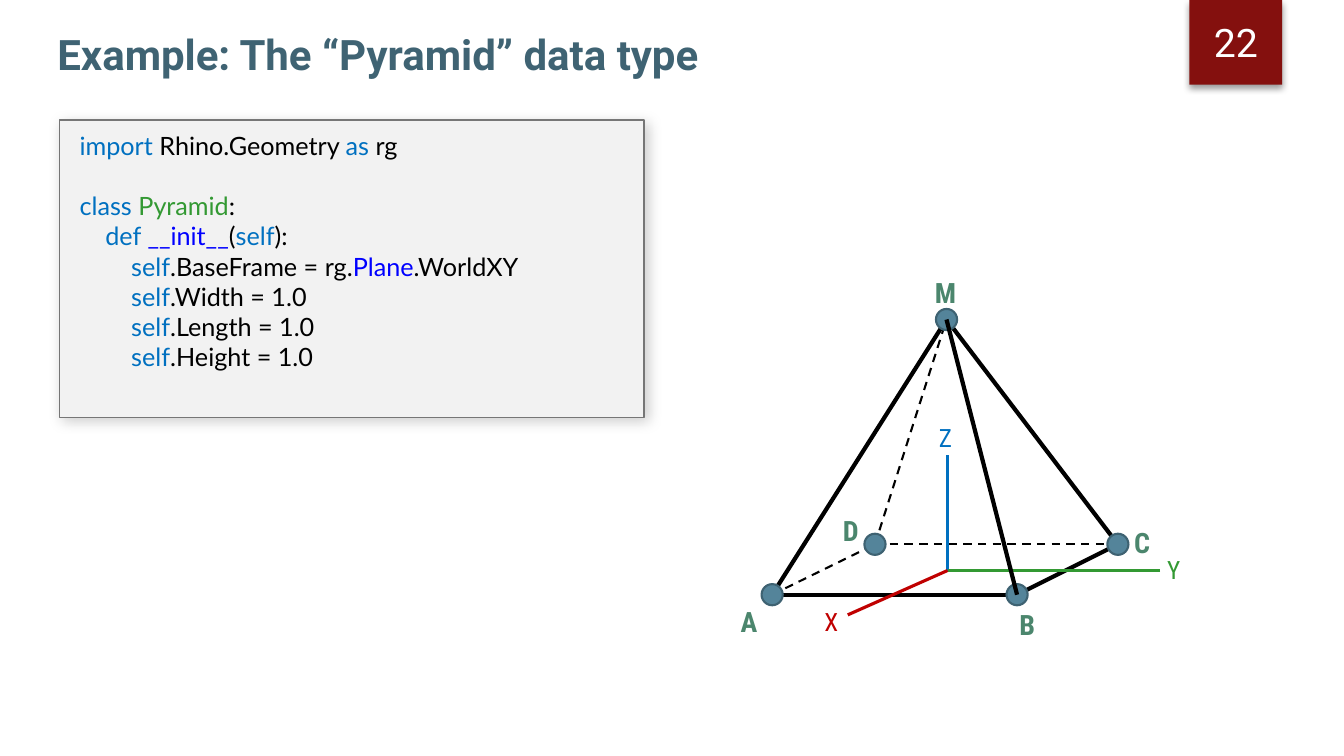
from dataclasses import dataclass, field

from lxml import etree
from pptx import Presentation, util as u
from pptx.dml.color import RGBColor
from pptx.enum import dml, shapes, text
from pptx.oxml.ns import qn

CELL = 0.1
COLS, ROWS = 133.33, 75
DOT = 2.1

COLORS = {
    "black": "000000", "white": "FFFFFF", "panel": "F2F2F2", "border": "767676",
    "title": "3F6373", "badge": "84100E", "vertex": "4B866D",
    "dot": "54849A", "dot_line": "3E6272",
    "blue": "0070C0", "green": "339933", "red": "C00000", "name": "0000FF",
}

FONTS = {
    "title": {"name": "Roboto", "size": u.Pt(30), "bold": True},
    "badge": {"name": "Roboto", "size": u.Pt(28), "bold": False},
    "code": {"name": "Lato", "size": u.Pt(18), "bold": False},
    "vertex": {"name": "Roboto Condensed", "size": u.Pt(20), "bold": True},
    "axis": {"name": "Roboto Condensed", "size": u.Pt(18), "bold": False},
}

POINTS = {
    "A": (76.6, 59), "B": (100.9, 59), "C": (110.9, 54), "D": (86.8, 54),
    "M": (93.9, 31.7), "O": (94, 56.6),
    "X": (84.1, 61), "Y": (115.1, 56.6), "Z": (94, 45.1),
}


@dataclass
class Box:
    col: float
    row: float
    cols: float
    rows: float

    def emu(self) -> list[int]:
        return [cells(n) for n in (self.col, self.row, self.cols, self.rows)]


@dataclass
class Shadow:
    alpha: int
    blur: float
    dist: float
    angle: int


@dataclass
class Edge:
    ends: str
    color: str = "black"
    width: float = 3
    dashed: bool = False


@dataclass
class Label:
    content: str
    col: float
    row: float
    font: str = "vertex"
    color: str = "vertex"
    align: text.PP_ALIGN = text.PP_ALIGN.CENTER


@dataclass
class CodeLine:
    runs: list[tuple[str, str]]
    format: dict = field(default_factory=dict)


TEXT_SHADOW = Shadow(40, 3, 3, 45)

EDGES = [
    Edge("AD", width=1.5, dashed=True), Edge("AB"), Edge("BC"),
    Edge("DC", width=1.5, dashed=True), Edge("AM"),
    Edge("OZ", "blue", 2.25), Edge("DM", width=1.5, dashed=True), Edge("CM"),
    Edge("YO", "green", 2.25), Edge("OX", "red", 2.25),
]
FRONT_EDGE = Edge("BM")

LABELS = [
    Label("A", 70.7, 59.5), Label("B", 98.3, 59.8), Label("C", 109.7, 51.6),
    Label("D", 80.8, 50.5), Label("M", 90.2, 26.8),
    Label("X", 80.8, 59.7, "axis", "red", text.PP_ALIGN.LEFT),
    Label("Y", 114.8, 54.5, "axis", "green", text.PP_ALIGN.LEFT),
    Label("Z", 90.2, 41.4, "axis", "blue"),
]

CODE = [
    CodeLine([("import ", "blue"), ("Rhino.Geometry ", "black"),
              ("as ", "blue"), ("rg", "black")]),
    CodeLine([("class ", "blue"), ("Pyramid", "green"), (":", "black")],
             {"space_before": u.Pt(21.6)}),
    CodeLine([("    def ", "blue"), ("__init__", "name"), ("(", "black"),
              ("self", "blue"), ("):", "black")]),
    CodeLine([("        self", "blue"), (".BaseFrame = rg.", "black"),
              ("Plane", "name"), (".WorldXY", "black")]),
    *[CodeLine([("        self", "blue"), (f".{size} = 1.0", "black")])
      for size in ("Width", "Length", "Height")],
]


def cells(n: float) -> int:
    return u.Inches(n * CELL)


def rgb(key: str) -> RGBColor:
    return RGBColor.from_string(COLORS[key])


def apply(target, values: dict) -> None:
    for key, value in values.items():
        setattr(target, key, value)


def cast(effects, shadow: Shadow) -> None:
    outer = etree.SubElement(
        effects, qn("a:outerShdw"), blurRad=str(u.Pt(shadow.blur)),
        dist=str(u.Pt(shadow.dist)), dir=str(shadow.angle * 60000),
        algn="tl", rotWithShape="0")
    color = etree.SubElement(outer, qn("a:srgbClr"), val=COLORS["black"])
    etree.SubElement(color, qn("a:alpha"), val=str(shadow.alpha * 1000))


def add_run(p, content: str, font: str, color: str, shadow: Shadow | None = None) -> None:
    r = p.add_run()
    r.text = content
    apply(r.font, FONTS[font])
    r.font.color.rgb = rgb(color)
    if shadow:
        effects = etree.Element(qn("a:effectLst"))
        r.font.fill._xPr.find(qn("a:solidFill")).addnext(effects)
        cast(effects, shadow)


def add_text(parent, box: Box, label: Label) -> None:
    tf = parent.add_textbox(*box.emu()).text_frame
    tf.word_wrap = True
    p = tf.paragraphs[0]
    p.alignment = label.align
    add_run(p, label.content, label.font, label.color, TEXT_SHADOW)


def add_shape(parent, kind, box: Box, fill: str, line: str | None = None,
              width: float = 1, shadow: Shadow | None = None):
    sp = parent.add_shape(kind, *box.emu())
    sp.fill.solid()
    sp.fill.fore_color.rgb = rgb(fill)
    if line:
        sp.line.color.rgb = rgb(line)
        sp.line.width = u.Pt(width)
    else:
        sp.line.fill.background()
    sp.shadow.inherit = False
    if shadow:
        cast(sp._element.spPr.find(qn("a:effectLst")), shadow)
    return sp


def add_edge(parent, edge: Edge) -> None:
    ends = [cells(n) for end in edge.ends for n in POINTS[end]]
    line = parent.add_connector(shapes.MSO_CONNECTOR.STRAIGHT, *ends)
    line.line.color.rgb = rgb(edge.color)
    line.line.width = u.Pt(edge.width)
    if edge.dashed:
        line.line.dash_style = dml.MSO_LINE.DASH
    etree.SubElement(line._element.spPr, qn("a:effectLst"))


def add_code(parent) -> None:
    sp = add_shape(parent, shapes.MSO_SHAPE.RECTANGLE, Box(5.9, 11.9, 58, 29.5),
                   "panel", "border", shadow=Shadow(20, 10, 3, 45))
    tf = sp.text_frame
    apply(tf, {"word_wrap": True, "vertical_anchor": text.MSO_ANCHOR.TOP,
               "margin_left": cells(2), "margin_right": cells(2),
               "margin_top": cells(1), "margin_bottom": cells(1)})
    for i, line in enumerate(CODE):
        p = tf.add_paragraph() if i else tf.paragraphs[0]
        apply(p, {"alignment": text.PP_ALIGN.LEFT, **line.format})
        for content, color in line.runs:
            add_run(p, content, "code", color)


def add_badge(parent) -> None:
    sp = add_shape(parent, shapes.MSO_SHAPE.RECTANGLE, Box(118, 0, 9.2, 8.4),
                   "badge", shadow=Shadow(40, 5, 3, 90))
    sp.text_frame.vertical_anchor = text.MSO_ANCHOR.MIDDLE
    p = sp.text_frame.paragraphs[0]
    p.alignment = text.PP_ALIGN.CENTER
    add_run(p, "22", "badge", "white")


def add_pyramid(parent) -> None:
    for edge in EDGES:
        add_edge(parent, edge)
    for vertex in "ABCMD":
        col, row = POINTS[vertex]
        add_shape(parent, shapes.MSO_SHAPE.OVAL,
                  Box(col - DOT / 2, row - DOT / 2, DOT, DOT), "dot", "dot_line", 1.5)
    for label in LABELS:
        add_text(parent, Box(label.col, label.row, 7.2, 4.4), label)
    add_edge(parent, FRONT_EDGE)


def main() -> None:
    prs = Presentation()
    prs.slide_width, prs.slide_height = cells(COLS), cells(ROWS)
    s = prs.slides.add_slide(prs.slide_layouts[6])
    add_code(s.shapes)
    add_text(s.shapes, Box(4.7, 2.3, 109.2, 8.5),
             Label("Example: The “Pyramid” data type", 4.7, 2.3, "title", "title",
                   text.PP_ALIGN.LEFT))
    add_pyramid(s.shapes.add_group_shape().shapes)
    add_badge(s.shapes)
    prs.save("out.pptx")


if __name__ == "__main__":
    main()
